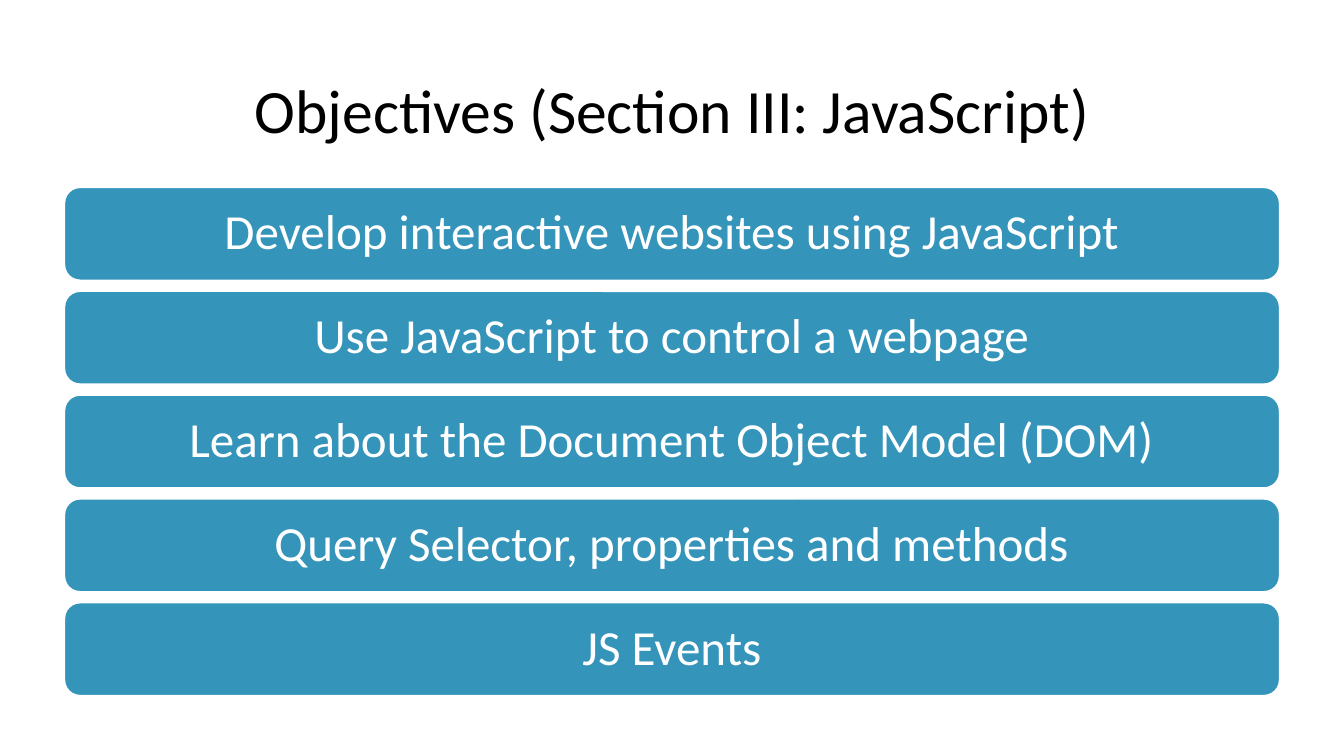
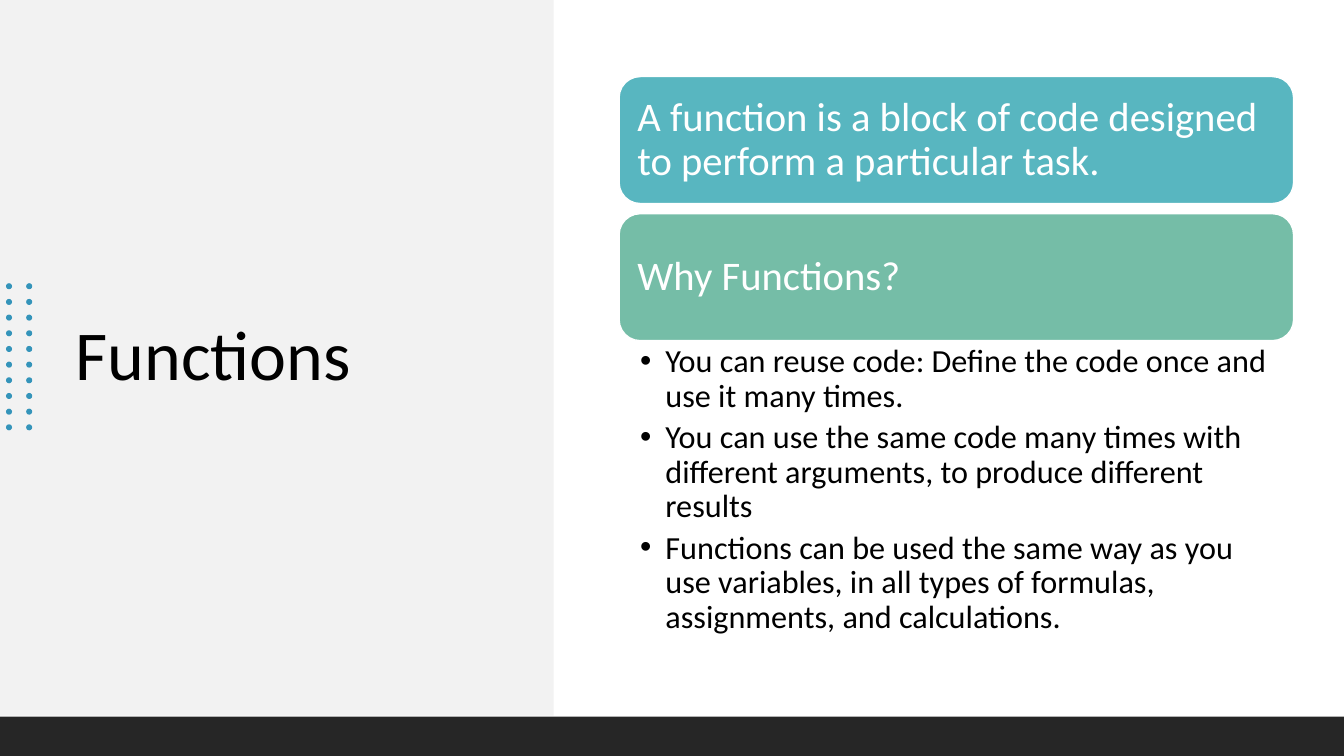
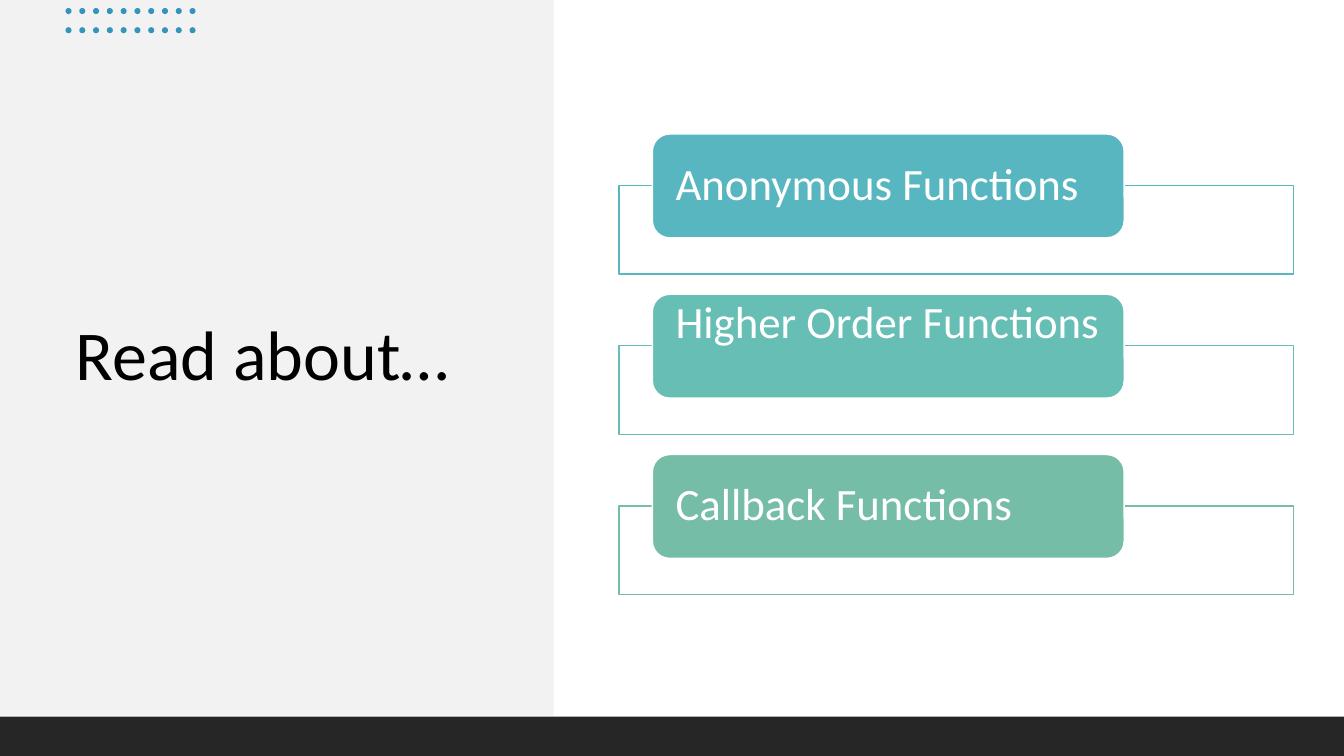
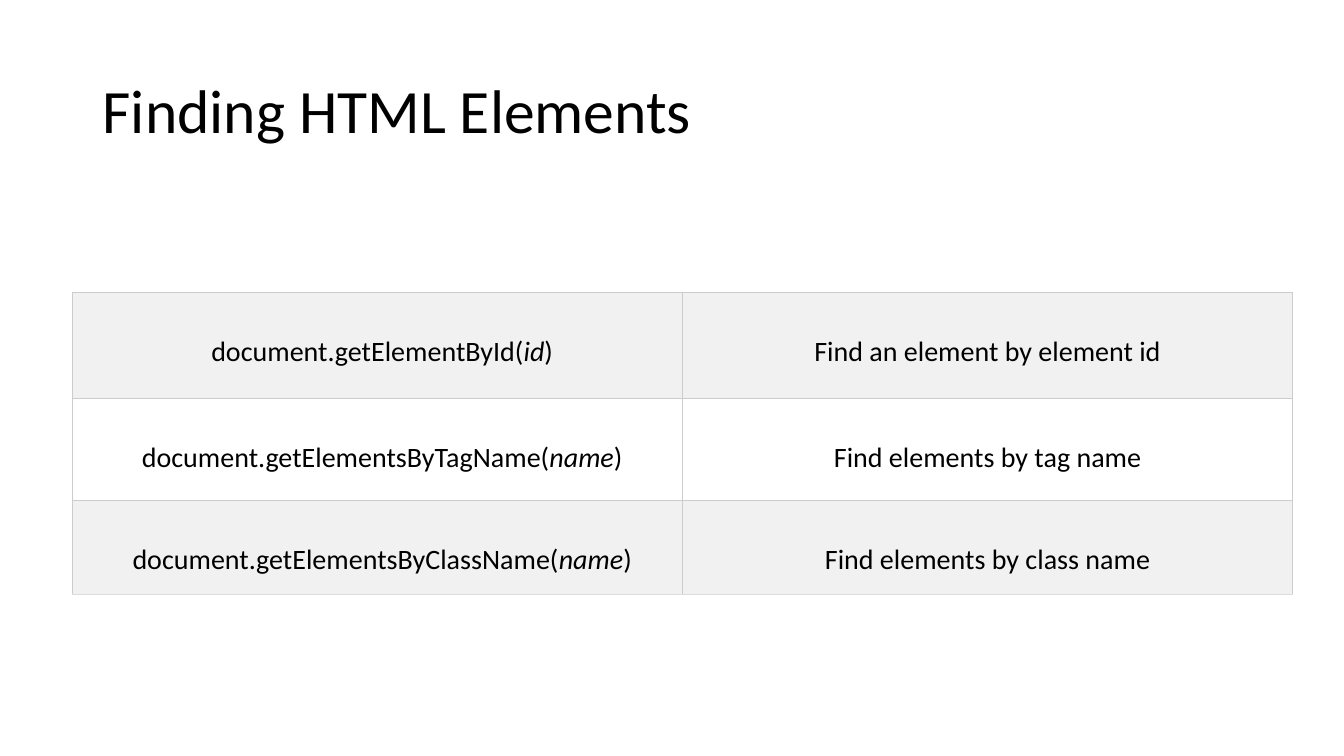
from itertools import product

from lxml.etree import SubElement
from pptx import Presentation
from pptx.dml.color import RGBColor
from pptx.enum.shapes import MSO_SHAPE as Shape
from pptx.enum.text import MSO_ANCHOR as Anchor, PP_ALIGN as Align
from pptx.oxml.ns import qn
from pptx.util import Emu, Pt

PX = 9144
WIDTH, HEIGHT = 1333, 750
FONT = "Calibri"
BLACK, WHITE = "000000", "FFFFFF"
BLUE, CYAN, TEAL, GREEN = "3494BA", "58B6C0", "67BEB5", "75BDA7"
PANEL, BAR = "F2F2F2", "262626"
STRIPE, GRID, GRID_END = "F1F1F1", "CCCCCC", "DDDDDD"
TITLE_BOX = (92, 40, 1150, 145)
CONTENT_LEFT, CONTENT_WIDTH = 614, 669


def px(value):
    return Emu(round(value * PX))


def color(hex_text):
    return RGBColor.from_string(hex_text)


def place(box):
    return [px(value) for value in box]


def style_span(span, size, ink, italic=False):
    span.font.name = FONT
    span.font.size = Pt(size)
    span.font.color.rgb = color(ink)
    span.font.italic = italic


def write(frame, lines, size, ink, align=Align.LEFT, anchor=Anchor.MIDDLE,
          insets=(10, 5, 10, 5)):
    frame.word_wrap = True
    frame.vertical_anchor = anchor
    (frame.margin_left, frame.margin_top,
     frame.margin_right, frame.margin_bottom) = place(insets)
    frame.text = "\n".join(lines)
    for para in frame.paragraphs:
        para.alignment = align
        para.line_spacing = 0.9
        for span in para.runs:
            style_span(span, size, ink)


def add_block(page, kind, box, fill, line=None):
    block = page.shapes.add_shape(kind, *place(box))
    block.shadow.inherit = False
    block.fill.solid()
    block.fill.fore_color.rgb = color(fill)
    if line:
        block.line.color.rgb = color(line)
        block.line.width = Pt(1)
    else:
        block.line.fill.background()
    return block


def add_card(page, box, fill, text, size, **options):
    card = add_block(page, Shape.ROUNDED_RECTANGLE, box, fill, WHITE)
    write(card.text_frame, [text], size, WHITE, **options)


def add_title(page, text, box=TITLE_BOX, size=44, align=Align.LEFT):
    title = page.shapes.add_textbox(*place(box))
    write(title.text_frame, [text], size, BLACK, align)


def add_dots(page, box, columns, rows):
    left, top, width, height = box
    for column, row in product(range(columns), range(rows)):
        x = left + width * column / (columns - 1)
        y = top + height * row / (rows - 1)
        add_block(page, Shape.OVAL, (x, y, 6, 6), BLUE)


def add_side_panel(page, text, dots_box, columns, rows):
    add_block(page, Shape.RECTANGLE, (0, 0, 549, 710), PANEL)
    add_title(page, text, (65, 132, 424, 445), 50)
    add_dots(page, dots_box, columns, rows)
    add_block(page, Shape.RECTANGLE, (0, 711, WIDTH, 39), BAR)


def add_bullets(page, box, lines):
    bullets = page.shapes.add_textbox(*place(box))
    write(bullets.text_frame, lines, 23, BLACK, anchor=Anchor.TOP,
          insets=(21, 4, 23, 4))
    for para in bullets.text_frame.paragraphs:
        para.space_after = Pt(4.5)
        props = para._p.get_or_add_pPr()
        props.set("marL", str(px(25)))
        props.set("indent", str(px(-25)))
        SubElement(props, qn("a:buFont")).set("typeface", "Arial")
        SubElement(props, qn("a:buChar")).set("char", "•")


def add_borders(cell, bottom):
    props = cell._tc.get_or_add_tcPr()
    sides = {"lnL": GRID, "lnR": GRID, "lnT": GRID, "lnB": bottom}
    for position, (side, ink) in enumerate(sides.items()):
        line = SubElement(props, qn(f"a:{side}"))
        line.set("w", str(Pt(0.75)))
        fill = SubElement(line, qn("a:solidFill"))
        SubElement(fill, qn("a:srgbClr")).set("val", ink)
        props.remove(line)
        props.insert(position, line)


def fill_cell(cell, pieces, left_inset, fill, bottom):
    cell.fill.solid()
    cell.fill.fore_color.rgb = color(fill)
    add_borders(cell, bottom)
    cell.margin_left = px(left_inset)
    cell.margin_top = cell.margin_right = cell.margin_bottom = px(8)
    para = cell.text_frame.paragraphs[0]
    para.alignment = Align.CENTER
    para.line_spacing = 2.0
    for position, piece in enumerate(pieces):
        span = para.add_run()
        span.text = piece
        style_span(span, 20, BLACK, italic=position == 1)


def add_method_table(page, box, methods, heights):
    table = page.shapes.add_table(len(methods), 2, *place(box)).table
    table.first_row = table.horz_banding = False
    for column in table.columns:
        column.width = px(box[2] / 2)
    for index, (method, argument, meaning) in enumerate(methods):
        table.rows[index].height = px(heights[index])
        fill = WHITE if index % 2 else STRIPE
        bottom = GRID_END if index == len(methods) - 1 else GRID
        call = (f"{method}(", argument, ")")
        fill_cell(table.cell(index, 0), call, 17, fill, bottom)
        fill_cell(table.cell(index, 1), (meaning,), 8, fill, bottom)


def build_objectives(page):
    add_title(page, "Objectives (Section III: JavaScript)", align=Align.CENTER)
    goals = (
        "Develop interactive websites using JavaScript",
        "Use JavaScript to control a webpage",
        "Learn about the Document Object Model (DOM)",
        "Query Selector, properties and methods",
        "JS Events",
    )
    for index, goal in enumerate(goals):
        add_card(page, (64, 186 + 103 * index, 1205, 92), BLUE, goal, 35,
                 align=Align.CENTER, insets=(15, 15, 15, 15))


def build_functions(page):
    add_side_panel(page, "Functions", (6, 281, 20, 140), 2, 10)
    cards = (
        (CYAN, "A function is a block of code designed to perform a particular task."),
        (GREEN, "Why Functions?"),
    )
    for index, (fill, text) in enumerate(cards):
        box = (CONTENT_LEFT, 76 + 136 * index, CONTENT_WIDTH, 126)
        add_card(page, box, fill, text, 29, insets=(12, 12, 12, 12))
    add_bullets(page, (CONTENT_LEFT, 338, CONTENT_WIDTH, 309), (
        "You can reuse code: Define the code once and use it many times.",
        "You can use the same code many times with different arguments, "
        "to produce different results",
        "Functions can be used the same way as you use variables, in all "
        "types of formulas, assignments, and calculations.",
    ))


def build_reading(page):
    add_side_panel(page, "Read about…", (65, 8, 123, 19), 10, 2)
    topics = (
        (CYAN, "Anonymous Functions", Anchor.MIDDLE),
        (TEAL, "Higher Order Functions", Anchor.TOP),
        (GREEN, "Callback Functions", Anchor.MIDDLE),
    )
    for index, (fill, text, anchor) in enumerate(topics):
        top = 133 + 159 * index
        frame_box = (CONTENT_LEFT, top + 51, CONTENT_WIDTH, 88)
        add_block(page, Shape.RECTANGLE, frame_box, WHITE, fill)
        add_card(page, (CONTENT_LEFT + 33, top, 468, 103), fill, text, 32,
                 anchor=anchor, insets=(18, 0, 10, 0))


def build_elements(page):
    add_title(page, "Finding HTML Elements")
    add_method_table(page, (72, 290, 1210, 300), (
        ("document.getElementById", "id", "Find an element by element id"),
        ("document.getElementsByTagName", "name", "Find elements by tag name"),
        ("document.getElementsByClassName", "name", "Find elements by class name"),
    ), (105, 102, 93))


def main():
    deck = Presentation()
    deck.slide_width, deck.slide_height = px(WIDTH), px(HEIGHT)
    for build in (build_objectives, build_functions, build_reading, build_elements):
        build(deck.slides.add_slide(deck.slide_layouts[6]))
    deck.save("out.pptx")


if __name__ == "__main__":
    main()
